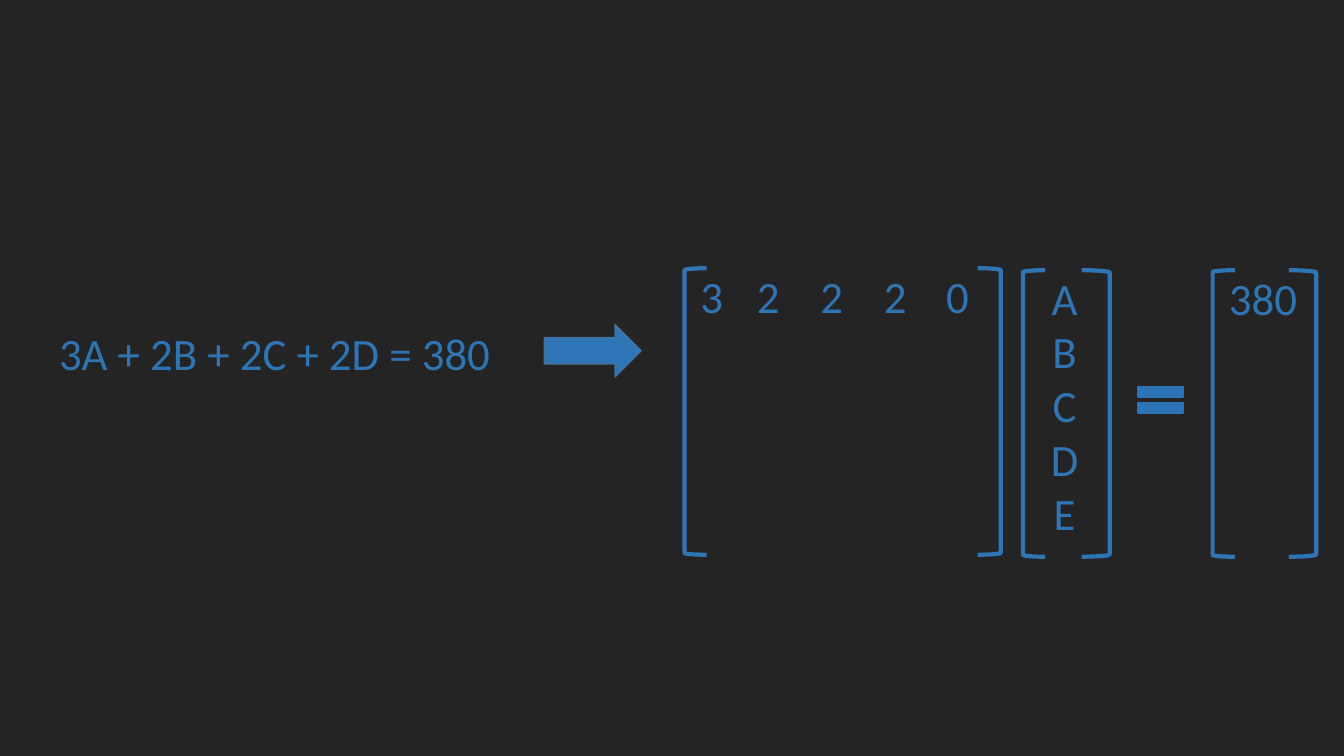
from pptx import Presentation
from pptx.dml.color import RGBColor
from pptx.enum.shapes import MSO_SHAPE
from pptx.enum.text import MSO_ANCHOR, PP_ALIGN
from pptx.util import Cm, Pt

BLUE = RGBColor(0x2E, 0x75, 0xB6)
EDGE = RGBColor(0x43, 0x73, 0x9E)
DARK = RGBColor(0x24, 0x24, 0x24)
FONT = "Calibri"
SIZE = Pt(32)
PITCH = Pt(38.4)


def add_text(slide, box, lines, anchor=MSO_ANCHOR.TOP):
    """Centred lines of text, one paragraph each."""
    frame = slide.shapes.add_textbox(*map(Cm, box)).text_frame
    frame.word_wrap = True
    frame.vertical_anchor = anchor
    frame.margin_left = frame.margin_right = 0
    frame.margin_top = frame.margin_bottom = 0
    for i, line in enumerate(lines):
        para = frame.add_paragraph() if i else frame.paragraphs[0]
        para.alignment = PP_ALIGN.CENTER
        para.line_spacing = PITCH
        run = para.add_run()
        run.text = line
        run.font.name = FONT
        run.font.size = SIZE
        run.font.color.rgb = BLUE


def add_sign(slide, kind, box, edge=BLUE, width=1, solid=True):
    """A preset shape, solid or in outline only."""
    sign = slide.shapes.add_shape(kind, *map(Cm, box))
    sign.shadow.inherit = False
    if solid:
        sign.fill.solid()
        sign.fill.fore_color.rgb = BLUE
    else:
        sign.fill.background()
    sign.line.color.rgb = edge
    sign.line.width = Pt(width)


def add_matrix(slide, box, cols, hook):
    """Columns of entries, each (centre, entries), between two brackets."""
    left, top, width, height = box
    lip = 0.56
    cell = 2
    for mid, items in cols:
        add_text(slide, (left + mid - cell / 2, top, cell, height), items)
    add_sign(slide, MSO_SHAPE.LEFT_BRACKET, (left, top, lip, height),
             width=3, solid=False)
    add_sign(slide, MSO_SHAPE.RIGHT_BRACKET,
             (left + width - hook, top, hook, height), width=3, solid=False)


def main():
    deck = Presentation()
    deck.slide_width, deck.slide_height = Cm(33.87), Cm(19.05)
    slide = deck.slides.add_slide(deck.slide_layouts[6])
    slide.background.fill.solid()
    slide.background.fill.fore_color.rgb = DARK

    # Equation and arrow
    add_text(slide, (0.97, 8.18, 11.91, 1.4),
             ["3A + 2B + 2C + 2D = 380"], MSO_ANCHOR.MIDDLE)
    add_sign(slide, MSO_SHAPE.RIGHT_ARROW, (13.72, 8.18, 2.44, 1.32), EDGE)

    # Factors, unknowns and result
    mids = (0.69, 2.11, 3.71, 5.31, 6.88)
    add_matrix(slide, (17.25, 6.76, 7.97, 7.22), list(zip(mids, "32220")), 0.58)
    add_matrix(slide, (25.78, 6.81, 2.19, 7.22), [(1.05, "ABCDE")], 0.71)
    add_sign(slide, MSO_SHAPE.MATH_EQUAL, (28.47, 9.5, 1.55, 1.14))
    add_matrix(slide, (30.56, 6.81, 2.61, 7.22), [(1.27, ["380"])], 0.69)

    deck.save("out.pptx")


if __name__ == "__main__":
    main()
